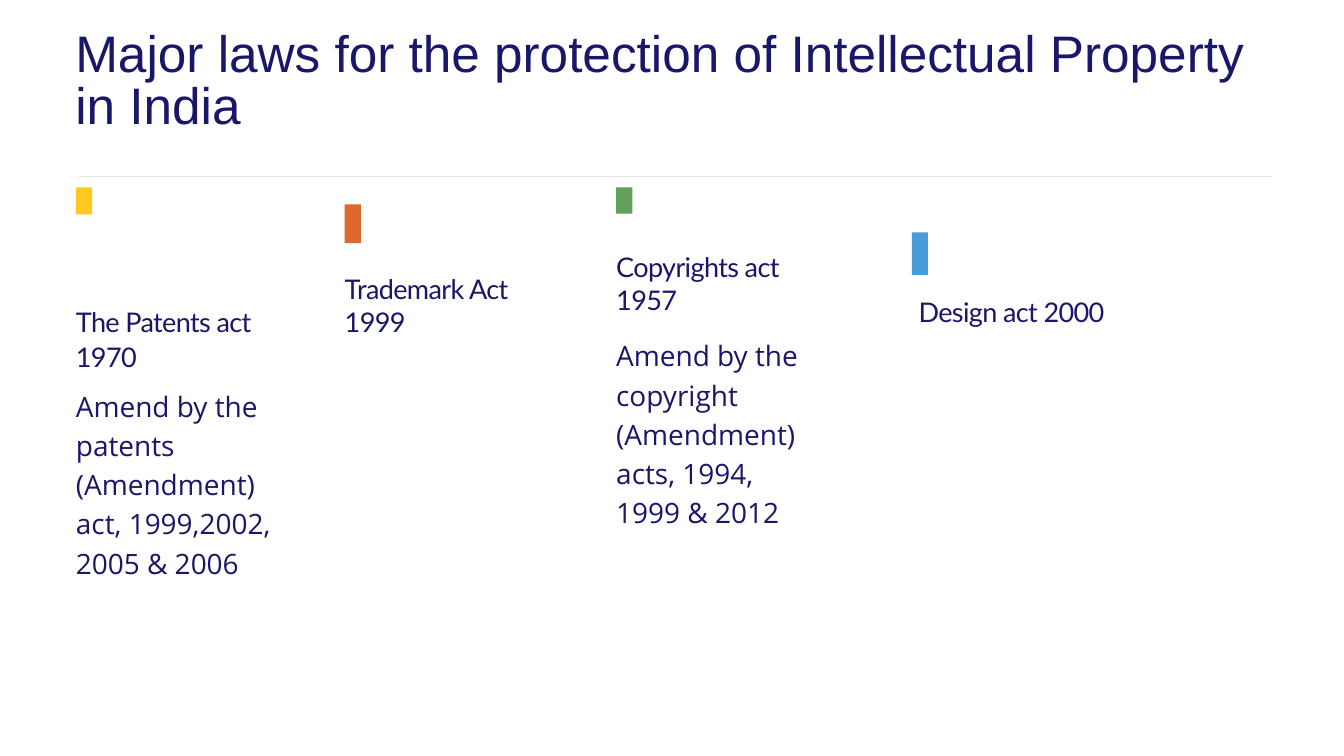
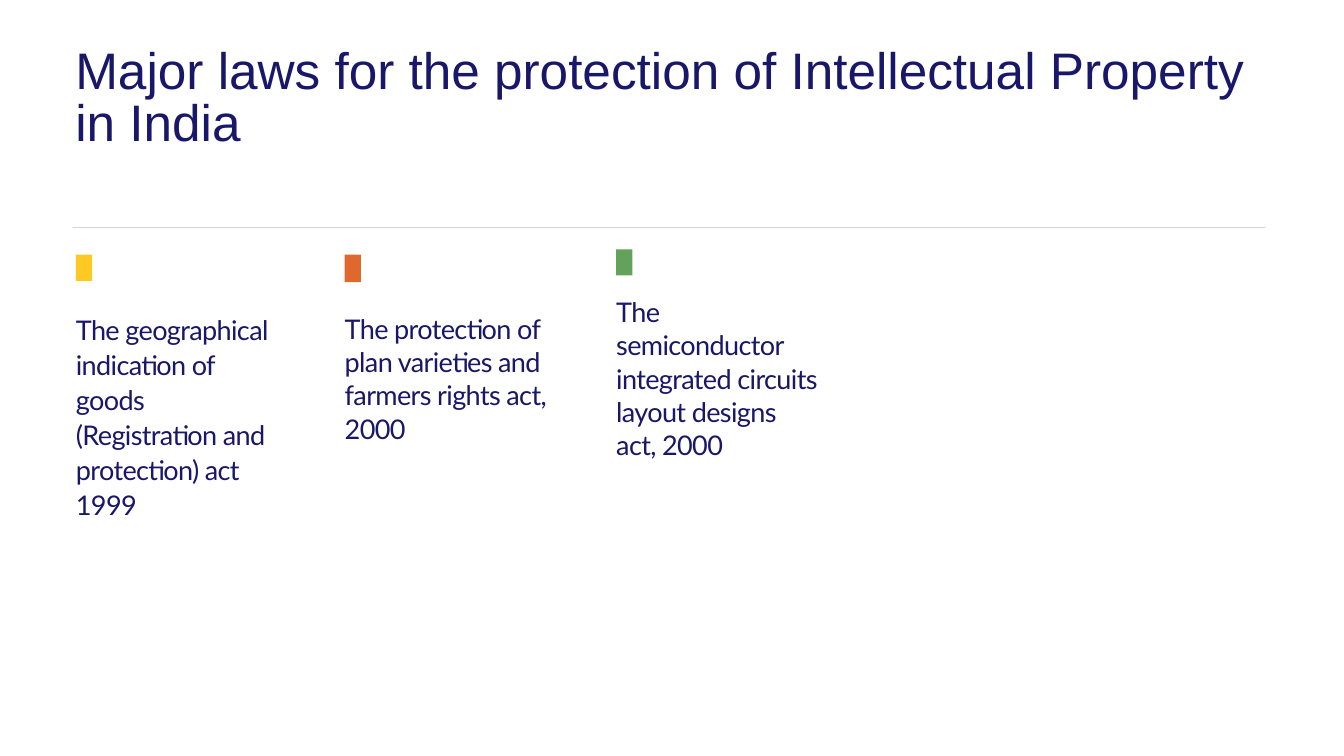
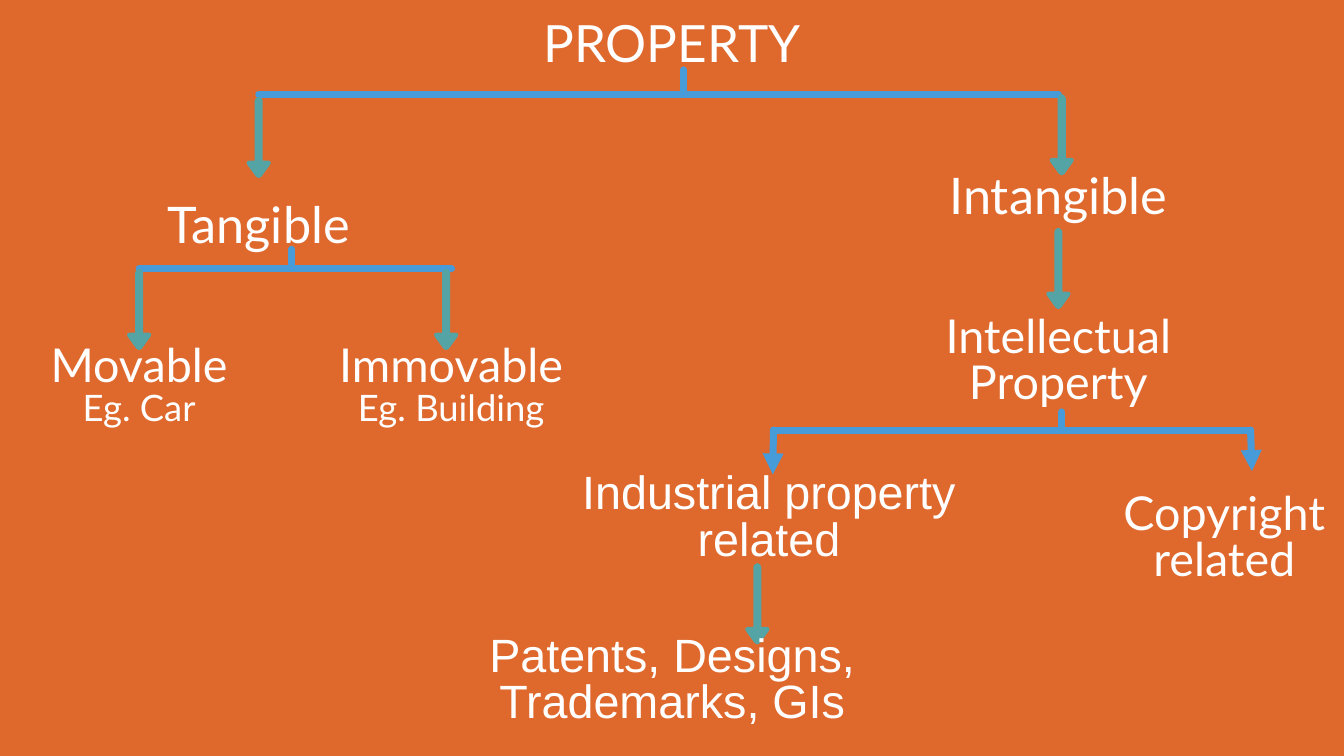
from dataclasses import dataclass

from lxml.etree import SubElement
from pptx import Presentation
from pptx.dml.color import RGBColor
from pptx.enum.shapes import MSO_CONNECTOR, MSO_SHAPE
from pptx.enum.text import MSO_ANCHOR, MSO_AUTO_SIZE, PP_ALIGN
from pptx.oxml.ns import qn
from pptx.util import Inches, Pt

COLORS = {
    "navy": "191769",
    "rule": "29285D",
    "yellow": "FFC924",
    "orange": "DF682D",
    "green": "62A25D",
    "blue": "469BD8",
    "teal": "55A4A5",
    "white": "FFFFFF",
}
TITLE_ONLY = 5
LAWS_TITLE = "Major laws for the protection of Intellectual Property in India"
ARROW_HALF = [
    (0, 1.21), (0.04, 1.19), (0.17, 1.01), (0.18, 0.98), (0.17, 0.96),
    (0.14, 0.95), (0.06, 0.95), (0.06, 0.06), (0.04, 0.02), (0, 0),
]


@dataclass
class Style:
    font: str
    size: float
    leading: float
    color: str = "white"
    align: PP_ALIGN = PP_ALIGN.CENTER
    spacing: int = 0


@dataclass
class Law:
    color: str
    left: float
    marker_top: float
    marker_height: float
    name_top: float
    name: str
    width: float = 3.04
    leading: float = 35.8
    indent: float = 0
    amendment: str = ""
    amendment_top: float = 0


@dataclass
class Label:
    left: float
    top: float
    width: float
    height: float
    lines: list[tuple[str, Style]]


@dataclass
class Line:
    start: tuple[float, float]
    end: tuple[float, float]
    arrow: bool = False


LAWS_HEADING = Style("Arial", 55, 55.5, "navy", PP_ALIGN.LEFT)
AMENDMENT = Style("Open Sans", 30, 42, "navy", PP_ALIGN.LEFT)
ROOT = Style("Lato", 55, 54.5)
BRANCH = Style("Lato", 54, 52.5)
LEAF = Style("Lato", 50, 49.5)
EXAMPLE = Style("Lato", 39, 39.6)
INDUSTRIAL = Style("Arial", 50, 49.5)

MAIN_LAWS = [
    Law("yellow", 1.13, 2.79, 0.4, 4.51, "The Patents act 1970", 3.17, 37.4,
        amendment="Amend by the patents (Amendment) act, 1999,2002, 2005 & 2006",
        amendment_top=5.71),
    Law("blue", 13.57, 3.46, 0.63, 4.38, "Design act 2000", indent=0.1),
    Law("orange", 5.13, 3.04, 0.58, 4.04, "Trademark Act 1999"),
    Law("green", 9.17, 2.79, 0.39, 3.71, "Copyrights act 1957",
        amendment="Amend by the copyright (Amendment) acts, 1994, 1999 & 2012",
        amendment_top=4.96),
]
FURTHER_LAWS = [
    Law("yellow", 1.13, 3.79, 0.39, 4.63,
        "The geographical indication of goods (Registration and protection) act 1999",
        3.17, 37.4),
    Law("orange", 5.13, 3.79, 0.41, 4.63,
        "The protection of plan varieties and farmers rights act, 2000"),
    Law("green", 9.17, 3.71, 0.39, 4.38,
        "The semiconductor integrated circuits layout designs act, 2000"),
]

PROPERTY_LABELS = [
    Label(2.07, 3.05, 3.56, 0.73, [("Tangible", BRANCH)]),
    Label(13.97, 2.61, 3.56, 0.73, [("Intangible", BRANCH)]),
    Label(0.29, 5.14, 3.56, 1.26, [("Movable", LEAF), ("Eg. Car", EXAMPLE)]),
    Label(4.6, 5.14, 4.23, 1.26, [("Immovable", LEAF), ("Eg. Building", EXAMPLE)]),
    Label(13.97, 4.71, 3.56, 1.4, [("Intellectual Property", LEAF)]),
    Label(8.51, 7.04, 5.87, 1.4, [("Industrial property related", INDUSTRIAL)]),
    Label(16.44, 7.34, 3.56, 1.4, [("Copyright related", LEAF)]),
    Label(6.72, 9.46, 6.57, 1.4, [("Patents, Designs, Trademarks, GIs", INDUSTRIAL)]),
]
PROPERTY_LINES = [
    Line((11.51, 6.4), (18.61, 6.4)),
    Line((3.85, 1.4), (15.75, 1.4)),
    Line((2.07, 4), (6.72, 4)),
    Line((10.17, 1.04), (10.17, 1.37)),
    Line((15.8, 6.13), (15.8, 6.41)),
    Line((4.34, 3.71), (4.34, 3.93)),
    Line((11.51, 6.4), (11.5, 7.06), True),
    Line((18.61, 6.4), (18.63, 7.01), True),
]
PROPERTY_ARROWS = [
    (11.27, 8.38), (15.75, 3.39), (6.64, 4), (2.07, 4), (3.85, 1.44), (15.8, 1.4),
]


def rgb(name: str) -> RGBColor:
    return RGBColor.from_string(COLORS[name])


def write_text(box, lines: list[tuple[str, Style]]) -> None:
    frame = box.text_frame
    frame.word_wrap = True
    frame.auto_size = MSO_AUTO_SIZE.NONE
    frame.vertical_anchor = MSO_ANCHOR.TOP
    frame.margin_left = frame.margin_right = frame.margin_top = frame.margin_bottom = 0
    for index, (text, style) in enumerate(lines):
        para = frame.add_paragraph() if index else frame.paragraphs[0]
        para.text = text
        para.alignment = style.align
        para.line_spacing = Pt(style.leading)
        para.font.name = style.font
        para.font.size = Pt(style.size)
        para.font.color.rgb = rgb(style.color)
        if style.spacing:
            para.runs[0]._r.get_or_add_rPr().set("spc", str(style.spacing))


def add_text(page, left: float, top: float, width: float, height: float,
             lines: list[tuple[str, Style]]) -> None:
    box = page.shapes.add_textbox(Inches(left), Inches(top), Inches(width), Inches(height))
    write_text(box, lines)


def add_page(deck, title: str, style: Style, left: float, top: float,
             width: float, height: float):
    page = deck.slides.add_slide(deck.slide_layouts[TITLE_ONLY])
    box = page.shapes.title
    box.left, box.top = Inches(left), Inches(top)
    box.width, box.height = Inches(width), Inches(height)
    write_text(box, [(title, style)])
    return page


def paint(shape, color: str) -> None:
    shape.shadow.inherit = False
    shape.fill.solid()
    shape.fill.fore_color.rgb = rgb(color)
    shape.line.fill.background()


def add_block(page, left: float, top: float, width: float, height: float, color: str):
    block = page.shapes.add_shape(MSO_SHAPE.RECTANGLE, Inches(left), Inches(top),
                                  Inches(width), Inches(height))
    paint(block, color)
    return block


def add_rule(page, left: float, top: float) -> None:
    rule = add_block(page, left, top, 17.75, 0.01, "rule")
    color = rule._element.spPr.find(f"{qn('a:solidFill')}/{qn('a:srgbClr')}")
    SubElement(color, qn("a:alpha"), val="20000")


def add_law(page, law: Law) -> None:
    add_block(page, law.left, law.marker_top, 0.24, law.marker_height, law.color)
    name_style = Style("Lato", 29, law.leading, "navy", PP_ALIGN.LEFT, -70)
    add_text(page, law.left + law.indent, law.name_top, law.width, 1.01,
             [(law.name, name_style)])
    if law.amendment:
        add_text(page, law.left, law.amendment_top, law.width, 2.95,
                 [(law.amendment, AMENDMENT)])


def add_line(page, line: Line) -> None:
    connector = page.shapes.add_connector(
        MSO_CONNECTOR.STRAIGHT, *(Inches(value) for value in line.start + line.end))
    connector.line.color.rgb = rgb("blue")
    connector.line.width = Pt(7.5)
    outline = connector.line._get_or_add_ln()
    outline.set("cap", "rnd")
    if line.arrow:
        SubElement(outline, qn("a:tailEnd"), type="triangle")
    SubElement(connector._element.spPr, qn("a:effectLst"))


def add_arrow(page, center: float, top: float) -> None:
    outline = ARROW_HALF + [(-x, y) for x, y in ARROW_HALF[-2:0:-1]]
    points = [(Inches(center + x), Inches(top + y)) for x, y in outline]
    builder = page.shapes.build_freeform(*points[0])
    builder.add_line_segments(points[1:], close=True)
    paint(builder.convert_to_shape(), "teal")


def build_laws(deck, title_top: float, rule: tuple[float, float], laws: list[Law]) -> None:
    page = add_page(deck, LAWS_TITLE, LAWS_HEADING, 1.12, title_top, 17.75, 1.54)
    add_rule(page, *rule)
    for law in laws:
        add_law(page, law)


def build_property_tree(deck) -> None:
    page = add_page(deck, "PROPERTY", ROOT, 7.85, 0.33, 4.3, 0.76)
    page.background.fill.solid()
    page.background.fill.fore_color.rgb = rgb("orange")
    for line in PROPERTY_LINES:
        add_line(page, line)
    for center, top in PROPERTY_ARROWS:
        add_arrow(page, center, top)
    for label in PROPERTY_LABELS:
        add_text(page, label.left, label.top, label.width, label.height, label.lines)


def main() -> None:
    deck = Presentation()
    deck.slide_width, deck.slide_height = Inches(20), Inches(11.25)
    build_laws(deck, 0.46, (1.17, 2.62), MAIN_LAWS)
    build_laws(deck, 0.71, (1.08, 3.38), FURTHER_LAWS)
    build_property_tree(deck)
    deck.save("out.pptx")


if __name__ == "__main__":
    main()
